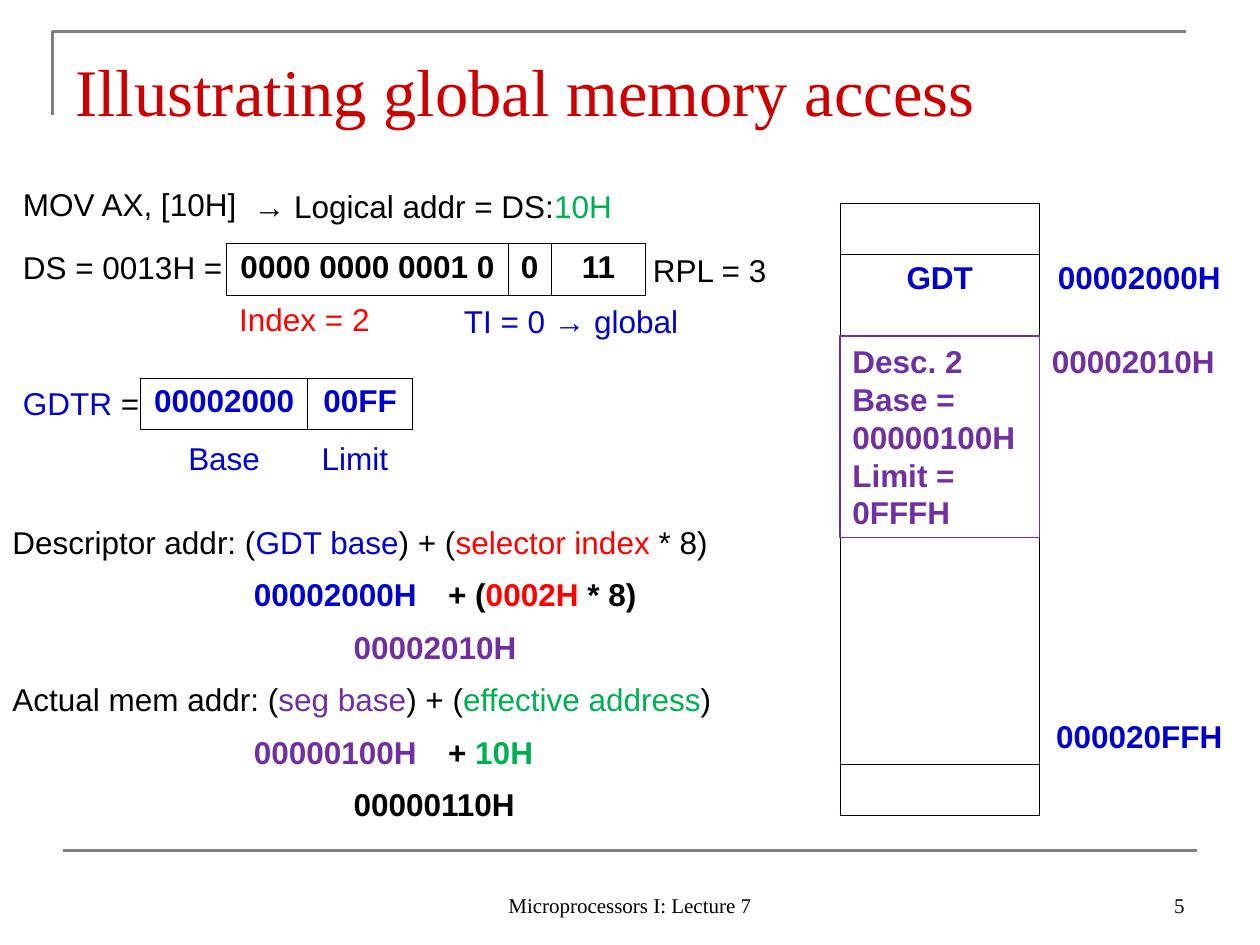
from lxml import etree
from pptx import Presentation
from pptx.dml.color import RGBColor
from pptx.enum.shapes import MSO_CONNECTOR, MSO_SHAPE
from pptx.enum.text import MSO_ANCHOR, PP_ALIGN
from pptx.oxml.ns import qn
from pptx.util import Inches, Pt

BLACK = RGBColor(0x00, 0x00, 0x00)
GRAY = RGBColor(0x80, 0x80, 0x80)
TITLE_RED = RGBColor(0xCC, 0x00, 0x00)
RED = RGBColor(0xFF, 0x00, 0x00)
GREEN = RGBColor(0x00, 0xB0, 0x50)
BLUE = RGBColor(0x00, 0x00, 0xCC)
PURPLE = RGBColor(0x70, 0x30, 0xA0)

SERIF, SANS = "Times New Roman", "Arial"
COLS, ROWS = 120, 90  # slide grid, twelve units to the inch
LINE_H = 4.8          # one line of body text with its insets
ADDR_W = 18.5         # one bold eight-digit address
BORDERS = {"l": "a:lnL", "r": "a:lnR", "t": "a:lnT", "b": "a:lnB"}


def u(n):
    """Length of n grid units."""
    return Inches(n / 12)


def add_runs(p, runs, size=18, font=SANS, bold=False):
    for text, color in runs:
        r = p.add_run()
        r.text = text
        r.font.name, r.font.size, r.font.bold = font, Pt(size), bold
        r.font.color.rgb = color


def add_text(s, x, y, w, runs, h=LINE_H, align=PP_ALIGN.LEFT,
             anchor=MSO_ANCHOR.TOP, **style):
    tf = s.shapes.add_textbox(u(x), u(y), u(w), u(h)).text_frame
    tf.word_wrap = True
    tf.vertical_anchor = anchor
    tf.paragraphs[0].alignment = align
    add_runs(tf.paragraphs[0], runs, **style)


def set_borders(cell, sides):
    """Draw thin black borders on the named sides and none on the others."""
    tcPr = cell._tc.get_or_add_tcPr()
    for i, (side, tag) in enumerate(BORDERS.items()):
        ln = etree.Element(qn(tag), w=str(Pt(0.45)))
        if side in sides:
            fill = etree.SubElement(ln, qn("a:solidFill"))
            etree.SubElement(fill, qn("a:srgbClr"), val=str(BLACK))
        else:
            etree.SubElement(ln, qn("a:noFill"))
        tcPr.insert(i, ln)


def add_grid(s, x, y, widths, heights):
    """Add an unstyled table with the given column widths and row heights."""
    table = s.shapes.add_table(len(heights), len(widths), u(x), u(y),
                               u(sum(widths)), u(sum(heights))).table
    table.first_row = table.horz_banding = False
    for col, w in zip(table.columns, widths):
        col.width = u(w)
    for row, h in zip(table.rows, heights):
        row.height = u(h)
    for cell in table.iter_cells():
        cell.fill.background()
    return table


def fill_cell(cell, text, color):
    p = cell.text_frame.paragraphs[0]
    p.alignment = PP_ALIGN.CENTER
    add_runs(p, [(text, color)], bold=True)


def add_register(s, x, y, fields, color):
    """Draw a one-row register from (text, width) fields."""
    table = add_grid(s, x, y, [w for _, w in fields], [4.9])
    for cell, (text, _) in zip(table.iter_cells(), fields):
        fill_cell(cell, text, color)
        set_borders(cell, "lrtb")


def add_frame(s, x, y, w, h):
    """Corner rule above the title and straight rule above the footer."""
    fb = s.shapes.build_freeform(u(x), u(y + 8), scale=1.0)
    fb.add_line_segments([(u(x), u(y)), (u(x + w), u(y))], close=False)
    corner = fb.convert_to_shape()
    corner.shadow.inherit = False
    corner.fill.background()
    rule = s.shapes.add_connector(MSO_CONNECTOR.STRAIGHT, u(x + 1), u(y + h),
                                  u(x + 1 + w), u(y + h))
    etree.SubElement(rule._element.spPr, qn("a:effectLst"))
    for shape in (corner, rule):
        shape.line.color.rgb = GRAY
        shape.line.width = Pt(1.5)


def add_title_and_footer(s, x, y, w):
    bottom = MSO_ANCHOR.BOTTOM
    add_text(s, x, y, w, [("Illustrating global memory access", TITLE_RED)],
             h=9.4, anchor=bottom, size=38, font=SERIF)
    foot = dict(h=6, anchor=bottom, size=12, font=SERIF)
    add_text(s, x + 35, 82, 38, [("Microprocessors I: Lecture 7", BLACK)],
             align=PP_ALIGN.CENTER, **foot)
    add_text(s, x + w - 28, 82, 28, [("5", BLACK)],
             align=PP_ALIGN.RIGHT, **foot)


def add_selector(s, x, y):
    """Instruction, DS selector and the meaning of its fields."""
    add_text(s, x, y, 24, [("MOV AX, [10H]", BLACK)])
    add_text(s, x + 22, y + 0.2, 37,
             [("→ Logical addr = DS:", BLACK), ("10H", GREEN)])
    add_text(s, x, y + 6, 22, [("DS = 0013H =", BLACK)])
    add_register(s, x + 20.6, y + 6.2,
                 [("0000 0000 0001 0", 26.8), ("0", 4.1), ("11", 9)], BLACK)
    add_text(s, x + 60, y + 6.3, 16, [("RPL = 3", BLACK)])
    add_text(s, x + 20.6, y + 11, 16, [("Index = 2", RED)])
    add_text(s, x + 42, y + 11.2, 27, [("TI = 0 → global", BLUE)])


def add_gdtr(s, x, y):
    add_text(s, x, y, 14.5, [("GDTR ", BLUE), ("=", BLACK)])
    left, base_w, limit_w = x + 12.4, 15.9, 10
    add_register(s, left, y, [("00002000", base_w), ("00FF", limit_w)], BLUE)
    for text, at, w in (("Base", left, base_w),
                        ("Limit", left + base_w - 0.5, limit_w)):
        add_text(s, at, y + 5.2, w, [(text, BLUE)], align=PP_ALIGN.CENTER)


def add_address_sum(s, x, y, formula, base, offset, total):
    """A formula, the same formula with values, and its result."""
    add_text(s, x, y, 72, formula)
    add_text(s, x + 23, y + 5, ADDR_W, [base], bold=True)
    add_text(s, x + 41.5, y + 5, 24.5, offset, bold=True)
    add_text(s, x + 32.5, y + 10, ADDR_W, [total], bold=True)


def add_memory_map(s, x, y, w):
    rows = 12
    table = add_grid(s, x, y, [w, w], [4.86] * rows)
    sides = {0: "lrtb", 1: "lrt", rows - 2: "lrb", rows - 1: "lrtb"}
    for i in range(rows):
        set_borders(table.cell(i, 0), sides.get(i, "lr"))
        set_borders(table.cell(i, 1), "l")
    for i, j, text in ((1, 0, "GDT"), (1, 1, "00002000H"),
                       (rows - 2, 1, "000020FFH")):
        fill_cell(table.cell(i, j), text, BLUE)

    top = y + 12.6
    add_text(s, x + w, top, ADDR_W, [("00002010H", PURPLE)], bold=True)
    desc = s.shapes.add_shape(MSO_SHAPE.RECTANGLE, u(x), u(top), u(w), u(19.2))
    desc.shadow.inherit = False
    desc.fill.background()
    desc.line.color.rgb = PURPLE
    desc.line.width = Pt(0.75)
    tf = desc.text_frame
    tf.word_wrap = True
    tf.vertical_anchor = MSO_ANCHOR.TOP
    for i, text in enumerate(("Desc. 2", "Base = 00000100H", "Limit =", "0FFFH")):
        p = tf.add_paragraph() if i else tf.paragraphs[0]
        p.alignment = PP_ALIGN.LEFT
        add_runs(p, [(text, PURPLE)], bold=True)


def main():
    prs = Presentation()
    prs.slide_width, prs.slide_height = u(COLS), u(ROWS)
    s = prs.slides.add_slide(prs.slide_layouts[6])
    add_frame(s, 5, 3, 108, 78)
    add_title_and_footer(s, 6, 3.6, 108)
    add_selector(s, 1, 17)
    add_gdtr(s, 1, 36)
    add_memory_map(s, 80, 19.4, 19)
    add_address_sum(
        s, 0, 49.2,
        [("Descriptor addr: (", BLACK), ("GDT base", BLUE), (") + (", BLACK),
         ("selector index ", RED), ("* 8)", BLACK)],
        ("00002000H", BLUE),
        [("+ (", BLACK), ("0002H", RED), (" * 8)", BLACK)],
        ("00002010H", PURPLE))
    add_address_sum(
        s, 0, 64.2,
        [("Actual mem addr: (", BLACK), ("seg base", PURPLE), (") + (", BLACK),
         ("effective address", GREEN), (")", BLACK)],
        ("00000100H", PURPLE),
        [("+ ", BLACK), ("10H", GREEN)],
        ("00000110H", BLACK))
    prs.save("out.pptx")


if __name__ == "__main__":
    main()
